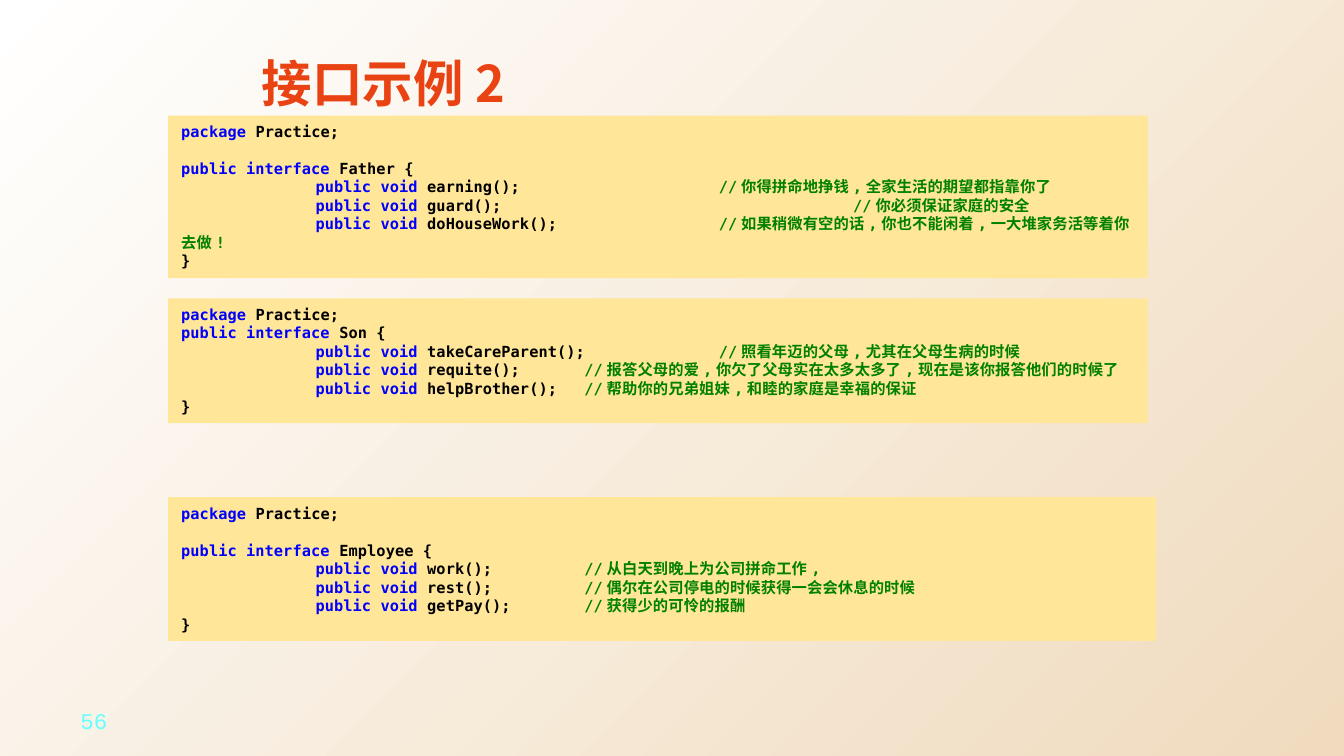
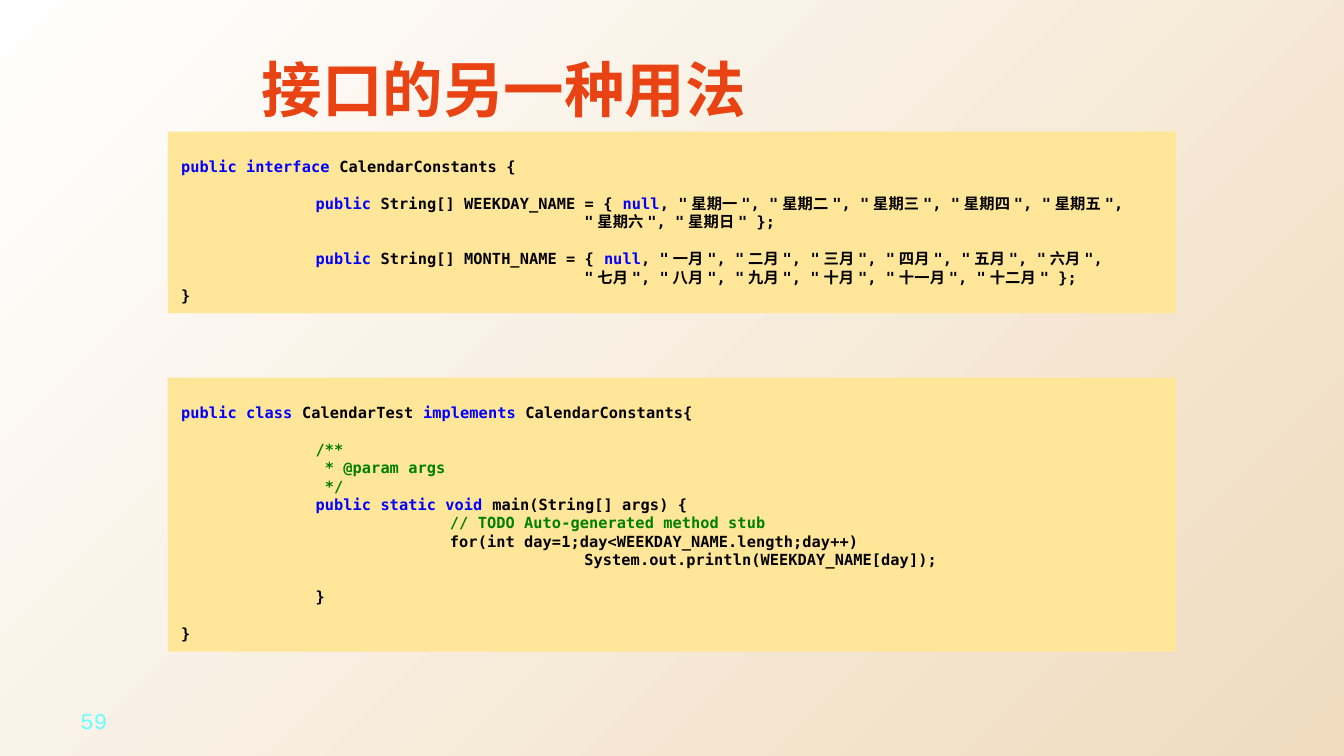
from lxml import etree
from pptx import Presentation
from pptx.dml.color import RGBColor
from pptx.enum.shapes import MSO_SHAPE
from pptx.enum.text import MSO_ANCHOR, MSO_AUTO_SIZE, PP_ALIGN
from pptx.oxml.ns import qn
from pptx.util import Inches, Pt

RECTANGLE = MSO_SHAPE.RECTANGLE
TOP, MIDDLE = MSO_ANCHOR.TOP, MSO_ANCHOR.MIDDLE
GROW = MSO_AUTO_SIZE.SHAPE_TO_FIT_TEXT
LEFT = PP_ALIGN.LEFT

# Shared look
SAND, WHITE = "F0DBBE", "FFFFFF"
PANEL, TITLE, NUMBER = "FFE699", "E94313", "66FFFF"
KEYWORD, PLAIN, COMMENT = "0000FF", "000000", "008000"
CODE_FONT, TITLE_FONT, NUMBER_FONT = "DejaVu Sans Mono", "Noto Sans CJK SC", "Courier New"
CODE_SIZE = 8.25
CODE_LINE = Pt(9.9)
TAB_WIDTH = Inches(1)
PANEL_LEFT = 1.25


def rgb(hex_color):
    return RGBColor.from_string(hex_color)


def add_text(paragraph, text, *, font, size, color, bold=False):
    run = paragraph.add_run()
    run.text = text
    run.font.name = font
    run.font.size = Pt(size)
    run.font.bold = bold
    run.font.color.rgb = rgb(color)
    east_asian = etree.SubElement(run.font._element, qn("a:ea"))
    east_asian.set("typeface", TITLE_FONT)


# Content: backticks enclose keywords, an empty string is a gap of one line
father = [
    "`package` Practice;",
    "",
    "`public interface` Father {",
    "\t`public void` earning();\t\t//你得拼命地挣钱,全家生活的期望都指靠你了",
    "\t`public void` guard();\t\t\t//你必须保证家庭的安全",
    "\t`public void` doHouseWork();\t\t//如果稍微有空的话,你也不能闲着,一大堆家务活等着你去做!",
    "}",
]
son = [
    "`package` Practice;",
    "`public interface` Son {",
    "\t`public void` takeCareParent();\t//照看年迈的父母,尤其在父母生病的时候",
    "\t`public void` requite();\t//报答父母的爱,你欠了父母实在太多太多了,现在是该你报答他们的时候了",
    "\t`public void` helpBrother();\t//帮助你的兄弟姐妹,和睦的家庭是幸福的保证",
    "}",
]
employee = [
    "`package` Practice;",
    "",
    "`public interface` Employee {",
    "\t`public void` work();\t//从白天到晚上为公司拼命工作,",
    "\t`public void` rest();\t//偶尔在公司停电的时候获得一会会休息的时候",
    "\t`public void` getPay();\t//获得少的可怜的报酬",
    "}",
]
calendar_constants = [
    "",
    "`public interface` CalendarConstants {",
    "",
    '\t`public` String[] WEEKDAY_NAME = { `null`, "星期一", "星期二", "星期三", "星期四", "星期五",',
    '\t\t\t"星期六", "星期日" };',
    "",
    '\t`public` String[] MONTH_NAME = { `null`, "一月", "二月", "三月", "四月", "五月", "六月",',
    '\t\t\t"七月", "八月", "九月", "十月", "十一月", "十二月" };',
    "}",
]
calendar_test = [
    "",
    "`public class` CalendarTest `implements` CalendarConstants{",
    "",
    "\t/**",
    "\t * @param args",
    "\t */",
    "\t`public static void` main(String[] args) {",
    "\t\t// TODO Auto-generated method stub",
    "\t\tfor(int day=1;day<WEEKDAY_NAME.length;day++)",
    "\t\t\tSystem.out.println(WEEKDAY_NAME[day]);",
    "",
    "\t}",
    "",
    "}",
]

# Title, title size, page number, panels as (top, width, height, code)
pages = [
    ("接口示例2", 27, "56", [
        (0.86, 7.29, 1.21, father),
        (2.22, 7.29, 0.93, son),
        (3.7, 7.35, 1.07, employee),
    ]),
    ("接口的另一种用法", 32.4, "59", [
        (0.98, 7.5, 1.35, calendar_constants),
        (2.81, 7.5, 2.04, calendar_test),
    ]),
]

# Widescreen, 16 to 9
prs = Presentation()
prs.slide_width = Inches(10)
prs.slide_height = prs.slide_width * 9 // 16

# Shared background: glow from the lower right corner
backdrop = prs.slide_master.background.fill
backdrop.gradient()
for stop, position, color in zip(backdrop.gradient_stops, (0, 1), (SAND, WHITE)):
    stop.position = position
    stop.color.rgb = rgb(color)
gradient = prs.slide_master.element.find(".//" + qn("p:bg")).find(".//" + qn("a:gradFill"))
gradient.remove(gradient.find(qn("a:lin")))
glow = etree.SubElement(gradient, qn("a:path"))
glow.set("path", "circle")
focus = etree.SubElement(glow, qn("a:fillToRect"))
focus.set("l", "100000")
focus.set("t", "100000")

for title, title_size, number, panels in pages:
    slide = prs.slides.add_slide(prs.slide_layouts[6])

    # Page number
    number_box = slide.shapes.add_textbox(Inches(0.5), Inches(5.21), Inches(2.33), Inches(0.3))
    number_box.text_frame.word_wrap = True
    number_box.text_frame.vertical_anchor = MIDDLE
    add_text(number_box.text_frame.paragraphs[0], number,
             font=NUMBER_FONT, size=12, color=NUMBER)

    # Code panels
    for top, width, height, code in panels:
        panel = slide.shapes.add_shape(RECTANGLE, Inches(PANEL_LEFT), Inches(top),
                                       Inches(width), Inches(height))
        panel.shadow.inherit = False
        panel.fill.solid()
        panel.fill.fore_color.rgb = rgb(PANEL)
        panel.line.fill.background()
        frame = panel.text_frame
        frame.word_wrap = True
        frame.auto_size = GROW
        frame.vertical_anchor = TOP
        if not code[0]:
            frame.margin_top = Inches(0.05) + CODE_LINE
        lines = [(line, i > 1 and not code[i - 1]) for i, line in enumerate(code) if line]
        for i, (line, after_gap) in enumerate(lines):
            paragraph = frame.add_paragraph() if i else frame.paragraphs[0]
            paragraph.alignment = LEFT
            paragraph._p.get_or_add_pPr().set("defTabSz", str(TAB_WIDTH))
            if after_gap:
                paragraph.space_before = CODE_LINE
            statement, slashes, remark = line.partition("//")
            in_doc = line.strip().startswith(("/**", "*"))
            parts = [(text, KEYWORD if k % 2 else COMMENT if in_doc else PLAIN)
                     for k, text in enumerate(statement.split("`"))]
            for text, color in parts + [(slashes + remark, COMMENT)]:
                if text:
                    add_text(paragraph, text, font=CODE_FONT, size=CODE_SIZE,
                             color=color, bold=True)

    # Title
    title_box = slide.shapes.add_textbox(Inches(1.85), Inches(0.39), Inches(7.65), Inches(0.43))
    title_box.text_frame.word_wrap = True
    title_box.text_frame.margin_top = title_box.text_frame.margin_bottom = 0
    add_text(title_box.text_frame.paragraphs[0], title,
             font=TITLE_FONT, size=title_size, color=TITLE, bold=True)

prs.save("out.pptx")
